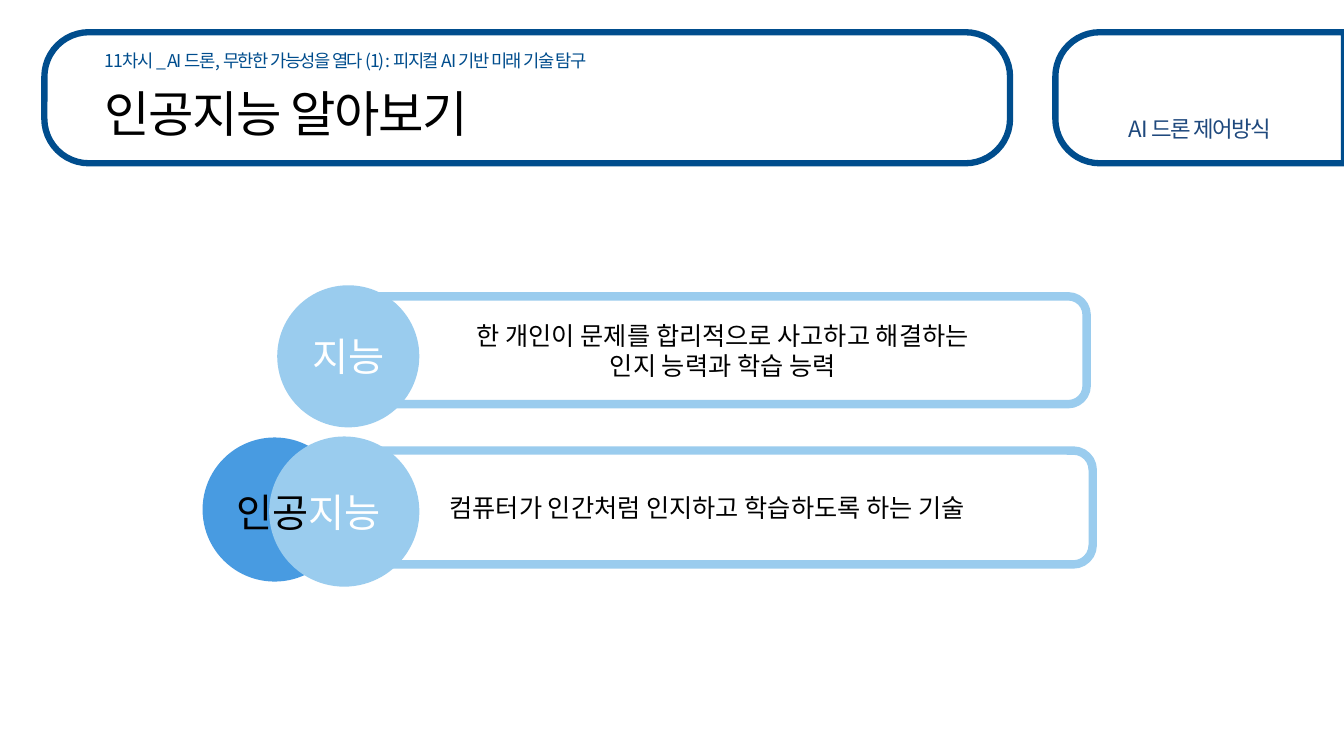
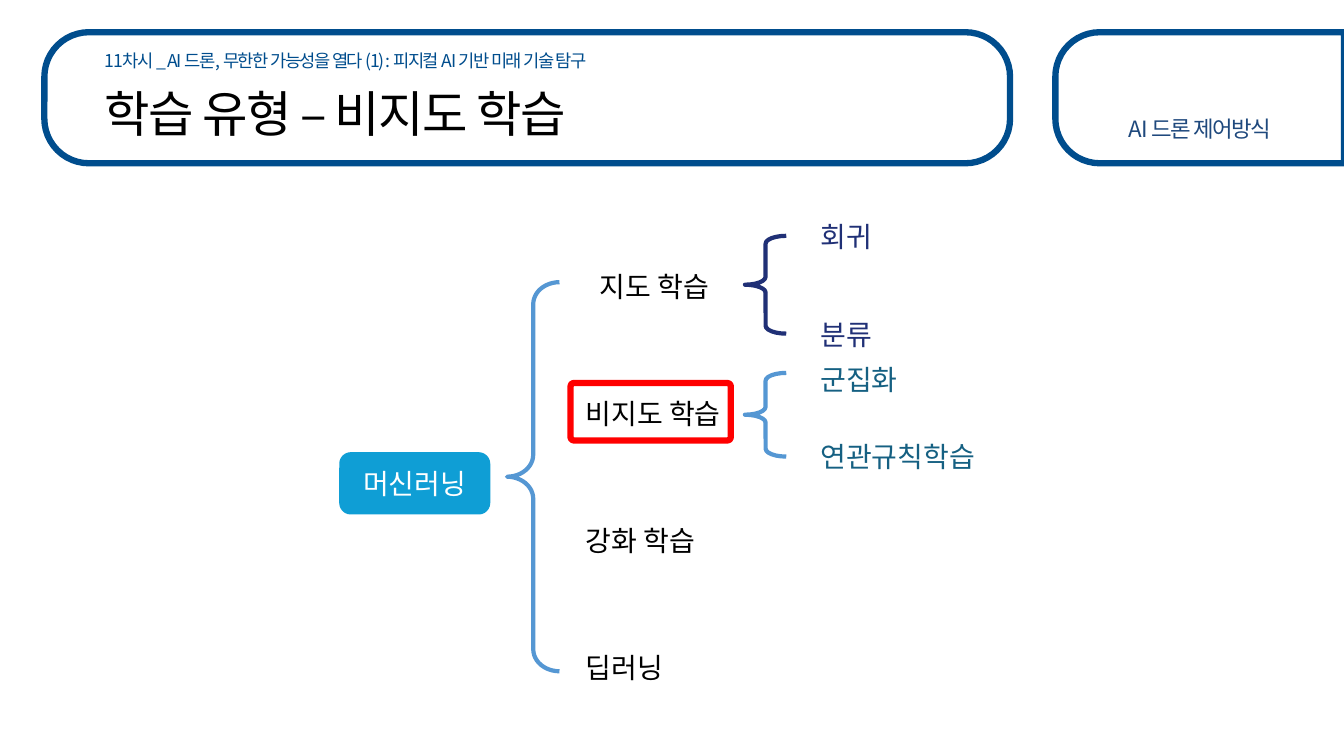
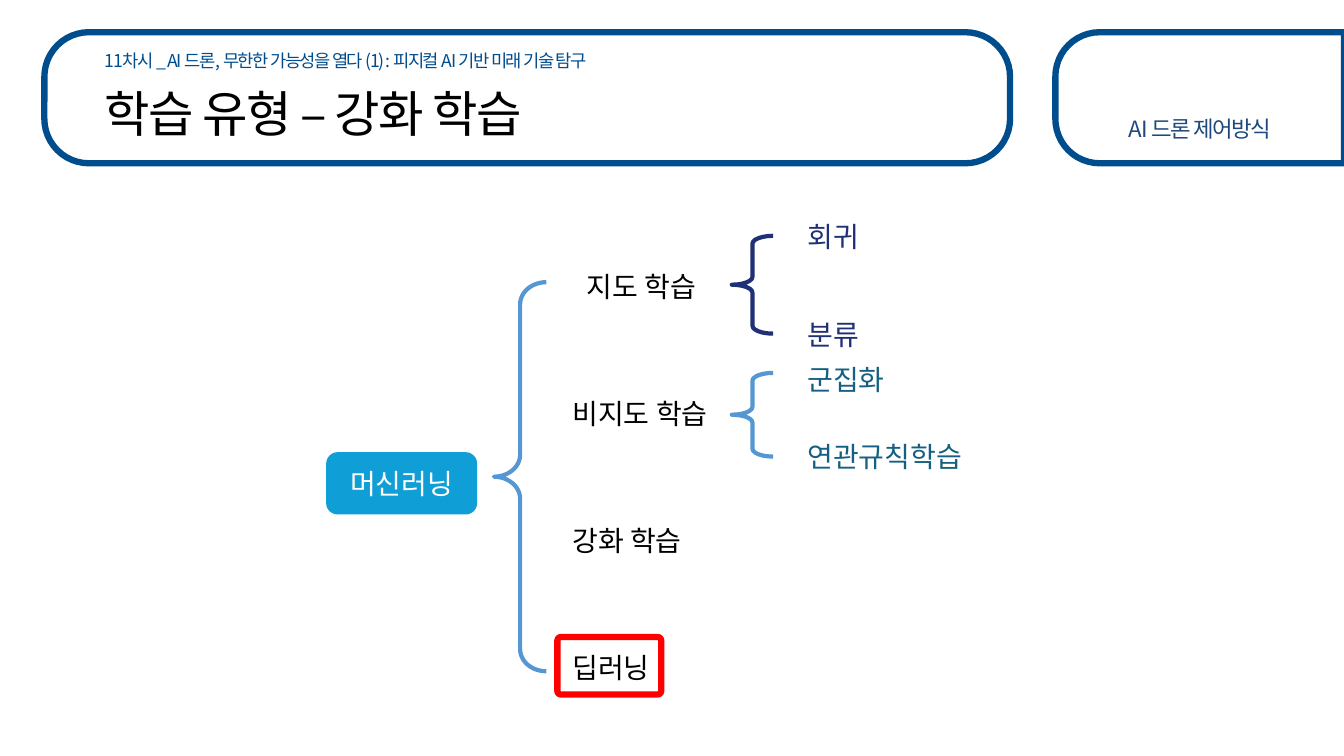
"""Builds three lesson slides on artificial intelligence and learning types."""
from dataclasses import dataclass
from math import cos, pi, sin

from pptx import Presentation
from pptx.dml.color import RGBColor as Rgb
from pptx.enum.shapes import MSO_SHAPE as Form
from pptx.enum.text import MSO_ANCHOR as Anchor, PP_ALIGN as Align
from pptx.oxml.ns import qn
from pptx.oxml.xmlchemy import OxmlElement as Node
from pptx.util import Inches, Pt


@dataclass(frozen=True)
class Theme:
    font: str = "Noto Sans CJK KR"
    navy: str = "004D8D"
    slate: str = "1F497D"
    sky: str = "9ACCEE"
    blue: str = "489BE1"
    cyan: str = "0F9ED5"
    steel: str = "5597D3"
    indigo: str = "203076"
    teal: str = "156082"
    red: str = "FF0000"
    black: str = "000000"
    white: str = "FFFFFF"
    small: float = 12.6
    tag: float = 16
    body: float = 18
    label: float = 20
    large: float = 28
    title: float = 35.3
    thin: float = 2
    brace: float = 3
    frame: float = 4.5
    thick: float = 6


class Deck:
    cell = Inches(0.1)
    cols, rows = 133.33, 75

    def __init__(self, theme):
        self.theme = theme
        self.prs = Presentation()
        self.prs.slide_width = self.size(self.cols)
        self.prs.slide_height = self.size(self.rows)
        self.slide = None

    def size(self, count):
        return round(count * self.cell)

    def paint(self, shape, fill, line, width):
        shape.shadow.inherit = False
        if fill:
            shape.fill.solid()
            shape.fill.fore_color.rgb = Rgb.from_string(fill)
        else:
            shape.fill.background()
        if line:
            shape.line.color.rgb = Rgb.from_string(line)
            shape.line.width = Pt(width)
        else:
            shape.line.fill.background()
        return shape

    def shape(self, form, box, fill=None, line=None, width=0, adj=()):
        item = self.slide.shapes.add_shape(form, *map(self.size, box))
        for at, value in enumerate(adj):
            item.adjustments[at] = value
        return self.paint(item, fill, line, width)

    def tab(self, left, top, high, bend):
        low = top + high
        arcs = [(left + bend, low - bend, pi / 2), (left + bend, top + bend, pi)]
        dots = [(self.cols, top), (self.cols, low)]
        for mid, row, start in arcs:
            turns = [start + step * pi / 24 for step in range(13)]
            dots += [(mid + bend * cos(t), row + bend * sin(t)) for t in turns]
        dots = [(self.size(x), self.size(y)) for x, y in dots]
        edge = self.slide.shapes.build_freeform(*dots[0])
        edge.add_line_segments(dots[1:], close=True)
        look = self.theme
        self.paint(edge.convert_to_shape(), look.white, look.navy, look.frame)

    def label(self, shape, lines, size, color, align=Align.CENTER,
              anchor=Anchor.MIDDLE, pad=(1, 0.5), space=None, lead=None):
        frame = shape.text_frame
        frame.word_wrap = True
        frame.vertical_anchor = anchor
        frame.margin_left = frame.margin_right = self.size(pad[0])
        frame.margin_top = frame.margin_bottom = self.size(pad[1])
        for at, line in enumerate(lines):
            para = frame.add_paragraph() if at else frame.paragraphs[0]
            para.alignment = align
            if lead:
                para.line_spacing = lead
            run = para.add_run()
            run.text = line
            font = run.font
            font.size = Pt(size)
            font.color.rgb = Rgb.from_string(color)
            font.name = self.theme.font
            props = run._r.get_or_add_rPr()
            east = Node("a:ea")
            east.set("typeface", self.theme.font)
            props.find(qn("a:latin")).addnext(east)
            if space:
                props.set("spc", str(space))

    def text(self, box, line, size, color, align=Align.LEFT, pad=(1, 1), **more):
        item = self.slide.shapes.add_textbox(*map(self.size, box))
        self.label(item, [line], size, color, align, Anchor.TOP, pad, **more)

    def page(self, title):
        look = self.theme
        self.slide = self.prs.slides.add_slide(self.prs.slide_layouts[6])
        self.tab(104.7, 3.2, 13, 4.4)
        self.shape(Form.ROUNDED_RECTANGLE, (4.4, 3.2, 95.8, 13),
                   look.white, look.navy, look.frame, [0.34])
        tight = {"pad": (1, 0), "space": -100}
        self.text((9.4, 5.2, 83.3, 3.1),
                  "11차시 _ AI 드론, 무한한 가능성을 열다 (1) : 피지컬 AI 기반 미래 기술 탐구",
                  look.small, look.navy, lead=0.9, **tight)
        self.text((9.4, 8.2, 83.3, 5.9), title, look.title, look.black, **tight)
        self.text((110.6, 11.4, 16.9, 3.9), "AI 드론 제어방식",
                  look.tag, look.slate, Align.CENTER, **tight)

    def panel(self, box, lines):
        look = self.theme
        item = self.shape(Form.ROUNDED_RECTANGLE, box, look.white,
                          look.sky, look.thick, [0.17])
        self.label(item, lines, look.body, look.black)

    def disc(self, left, top, wide, fill, word=None):
        item = self.shape(Form.OVAL, (left, top, wide, wide), fill)
        if word:
            self.label(item, [word], self.theme.large, self.theme.white)

    def brace(self, box, color, bend):
        self.shape(Form.LEFT_BRACE, box, None, color, self.theme.brace, [bend, 0.5])

    def tree(self, left, pick, wide):
        look = self.theme
        root = self.shape(Form.ROUNDED_RECTANGLE, (left, 45, 14.7, 5.9),
                          look.cyan, look.cyan, look.thin, [0.17])
        self.label(root, ["머신러닝"], look.label, look.white, pad=(0, 0))
        self.brace((left + 16.5, 28, 5.2, 38.6), look.steel, 0.42)
        first, step = 25.7, 12.6
        for at, word in enumerate(["지도 학습", "비지도 학습", "강화 학습", "딥러닝"]):
            span, align = (19.1, Align.LEFT) if at else (15.7, Align.CENTER)
            self.text((left + 23.3, first + at * step, span, 5.1),
                      word, look.label, look.black, align)
        forks = [
            (23.4, 9.7, look.indigo, look.indigo, {"회귀": 20.8, "분류": 30.5}),
            (37, 8.3, look.steel, look.teal, {"군집화": 35, "연관규칙학습": 42.6}),
        ]
        for top, high, line, ink, leaves in forks:
            self.brace((left + 40.1, top, 4.1, high), line, 0.19)
            for word, row in leaves.items():
                self.text((left + 46.6, row, 19.1, 5.1), word, look.label, ink)
        self.shape(Form.ROUNDED_RECTANGLE,
                   (left + 22.8, first + pick * step - 0.3, wide, 5.7),
                   None, look.red, look.frame, [0.06])


def main():
    look = Theme()
    deck = Deck(look)

    deck.page("인공지능 알아보기")
    deck.panel((35.6, 29.4, 72.2, 10.7),
               ["한 개인이 문제를 합리적으로 사고하고 해결하는", "인지 능력과 학습 능력"])
    deck.disc(27.5, 28.3, 14.1, look.sky, "지능")
    deck.panel((31.9, 44.7, 76.5, 11.3),
               ["컴퓨터가 인간처럼 인지하고 학습하도록 하는 기술"])
    deck.disc(20.1, 43.4, 14.3, look.blue)
    deck.disc(26.7, 43.3, 14.9, look.sky, "지능")
    deck.text((22.5, 47.4, 9.6, 5.8), "인공", look.large, look.black)

    deck.page("학습 유형 – 비지도 학습")
    deck.tree(33.8, 1, 15.9)

    deck.page("학습 유형 – 강화 학습")
    deck.tree(32.5, 3, 10.3)

    deck.prs.save("out.pptx")


if __name__ == "__main__":
    main()
